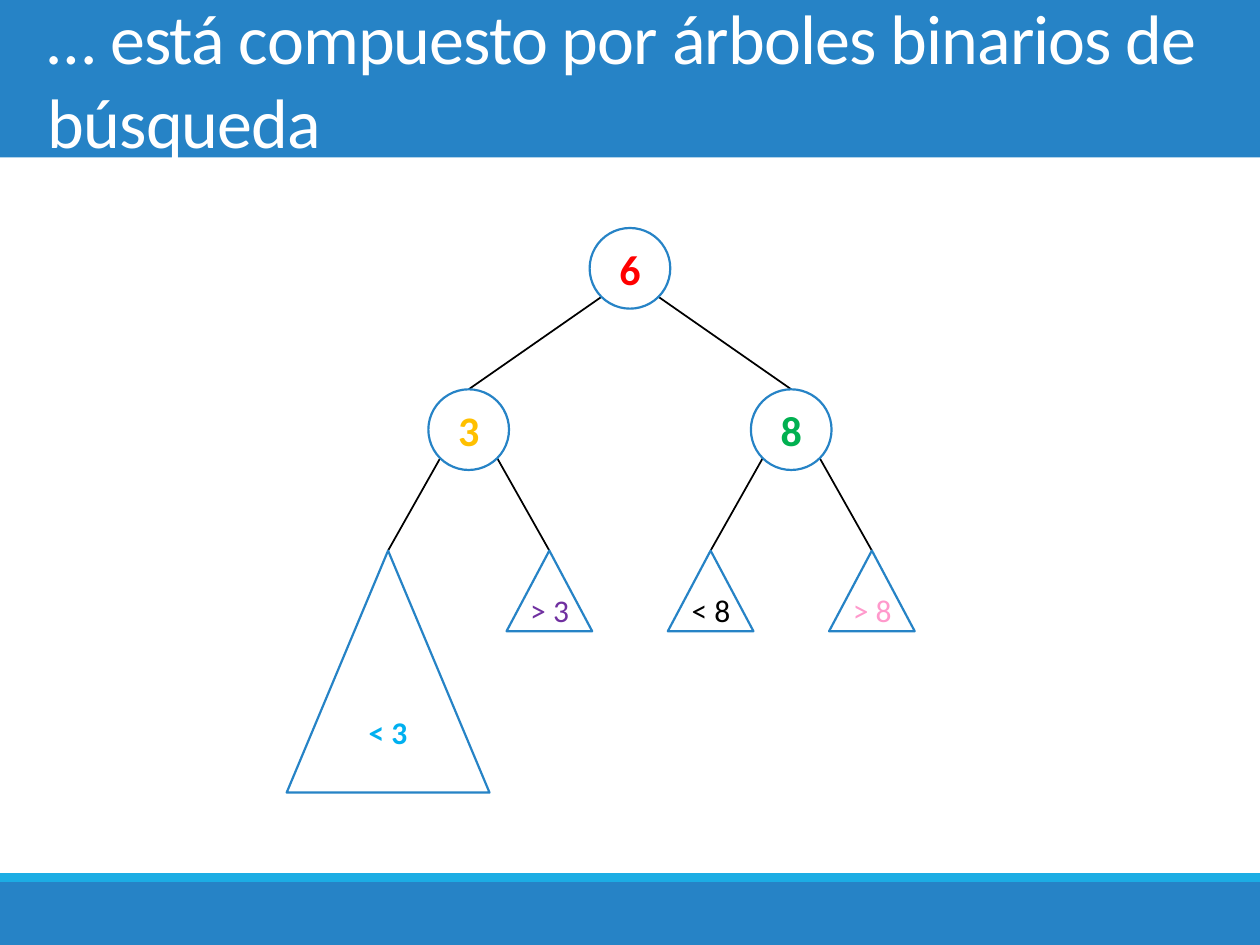
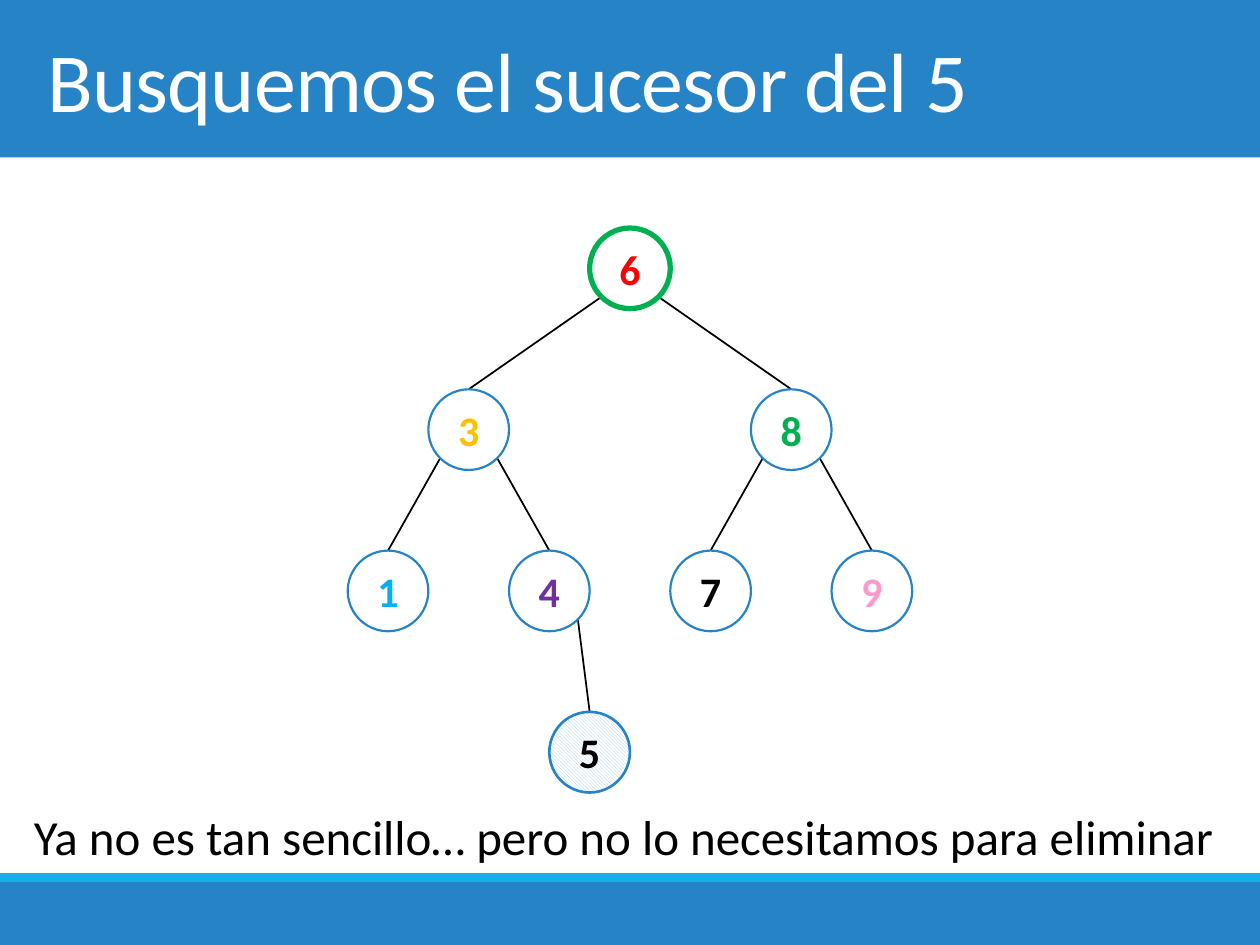
import math

import pptx
import pptx.util
import pptx.dml.color
import pptx.enum.dml
import pptx.enum.shapes
import pptx.enum.text
import pptx.oxml.ns
import lxml.etree

Inches, Pt = pptx.util.Inches, pptx.util.Pt
RGB = pptx.dml.color.RGBColor
SHAPE = pptx.enum.shapes.MSO_SHAPE
ALIGN = pptx.enum.text.PP_ALIGN
ANCHOR = pptx.enum.text.MSO_ANCHOR
AUTOFIT = pptx.enum.text.MSO_AUTO_SIZE

FONT = "Calibri"
BLUE = RGB(0x26, 0x83, 0xC6)
CYAN = RGB(0x1C, 0xAD, 0xE4)
PALE_BLUE = RGB(0xA3, 0xCE, 0xED)
WHITE = RGB(0xFF, 0xFF, 0xFF)
BLACK = RGB(0, 0, 0)
RED = RGB(0xFF, 0, 0)
GREEN = RGB(0, 0xB0, 0x50)
AMBER = RGB(0xFF, 0xC0, 0)
SKY = RGB(0, 0xB0, 0xF0)
PURPLE = RGB(0x70, 0x30, 0xA0)
PINK = RGB(0xFF, 0x99, 0xCC)

# Tree grid: in-order columns counted from the root, and levels
COLUMN, LEVEL, DIAMETER = 0.32, 1.28, 0.64
TREE_BOX = (2.75, 1.81, 4.5)        # left, top, width
TITLE_BOX = (0.28, 0, 9.45, 1.25)
REMARK_BOX = (0.17, 6.35, 9.69, 0.57)

# value: (column, level, colour)
UPPER_NODES = {
    "6": (0, 0, RED),
    "3": (-4, 1, AMBER),
    "8": (4, 1, GREEN),
}
LOWER_NODES = {
    "1": (-6, 2, SKY),
    "4": (-2, 2, PURPLE),
    "7": (2, 2, BLACK),
    "9": (6, 2, PINK),
    "5": (-1, 3, BLACK),
}
# label: (column, colour, width, height)
SUBTREES = {
    "< 3": (-6, SKY, 1.61, 1.92),
    "> 3": (-2, PURPLE, 0.68, DIAMETER),
    "< 8": (2, BLACK, 0.68, DIAMETER),
    "> 8": (6, PINK, 0.68, DIAMETER),
}
UPPER_EDGES = [("6", -4, 1), ("6", 4, 1), ("3", -6, 2),
               ("3", -2, 2), ("8", 2, 2), ("8", 6, 2)]


def inches(box):
    return [Inches(length) for length in box]


def write(frame, text, size, color, bold=False, align=ALIGN.LEFT):
    frame.text = text
    paragraph = frame.paragraphs[0]
    paragraph.alignment = align
    font = paragraph.font
    font.name, font.size, font.bold = FONT, Pt(size), bold
    font.color.rgb = color


def add_outline(slide, kind, box, line=BLUE, weight=1.25):
    outline = slide.shapes.add_shape(kind, *inches(box))
    outline.shadow.inherit = False
    outline.fill.solid()
    outline.fill.fore_color.rgb = WHITE
    outline.line.color.rgb = line
    outline.line.width = Pt(weight)
    outline.text_frame.vertical_anchor = ANCHOR.MIDDLE
    return outline


def add_label(slide, box, text, size, color):
    frame = slide.shapes.add_textbox(*inches(box)).text_frame
    frame.word_wrap = False
    frame.auto_size = AUTOFIT.SHAPE_TO_FIT_TEXT
    write(frame, text, size, color)


def grid_point(box, column, level):
    """Top centre of a tree position."""
    left, top, width = box
    return left + width / 2 + column * COLUMN, top + level * LEVEL


def add_node(slide, box, value, column, level, color, line=BLUE, weight=1.25):
    x, y = grid_point(box, column, level)
    node = add_outline(slide, SHAPE.OVAL, (x - DIAMETER / 2, y, DIAMETER, DIAMETER),
                       line, weight)
    write(node.text_frame, value, 24, color, True, ALIGN.CENTER)
    return node


def add_edge(slide, box, parent, child):
    """Line from the lower side of the parent circle to the top of the child."""
    x, y = grid_point(box, *parent)
    child_x, child_y = grid_point(box, *child)
    reach = DIAMETER / 2 * math.sqrt(0.5)
    x += math.copysign(reach, child_x - x)
    y += DIAMETER / 2 + reach
    edge = slide.shapes.add_connector(pptx.enum.shapes.MSO_CONNECTOR.STRAIGHT,
                                      *inches((x, y, child_x, child_y)))
    edge.line.color.rgb = BLACK
    edge.line.width = Pt(1)
    lxml.etree.SubElement(edge.element.spPr, pptx.oxml.ns.qn("a:effectLst"))


def add_subtree(slide, box, label, column, color, width, height):
    x, y = grid_point(box, column, 2)
    triangle = add_outline(slide, SHAPE.ISOSCELES_TRIANGLE,
                           (x - width / 2, y, width, height))
    if height > DIAMETER:
        write(triangle.text_frame, label, 18, color, True, ALIGN.CENTER)
    else:
        add_label(slide, (x - 0.25, y + 0.27, 0.51, 0.4), label, 18, color)


def add_upper_tree(slide, box, root_line=BLUE, root_weight=1.25):
    for parent, column, level in UPPER_EDGES:
        add_edge(slide, box, UPPER_NODES[parent][:2], (column, level))
    for value, place in UPPER_NODES.items():
        style = (root_line, root_weight) if value == "6" else ()
        add_node(slide, box, value, *place, *style)


def add_bands(slide, layout):
    """Colour bands, drawn once and kept in the layout behind everything."""
    bands = [((0, 0, 10, 1.25), BLUE), ((0, 7, 10, 0.5), BLUE),
             ((0, 6.93, 10, 0.07), CYAN)]
    for position, (box, color) in enumerate(bands):
        band = slide.shapes.add_shape(SHAPE.RECTANGLE, *inches(box))
        band.shadow.inherit = False
        band.fill.solid()
        band.fill.fore_color.rgb = color
        band.line.fill.background()
        layout.shapes.element.insert(2 + position, band.element)


def add_title(slide, box, text, size):
    title = slide.shapes.title
    title.left, title.top, title.width, title.height = inches(box)
    frame = title.text_frame
    write(frame, text, size, WHITE)
    frame.word_wrap = True
    frame.auto_size = AUTOFIT.NONE
    frame.vertical_anchor = ANCHOR.MIDDLE
    frame.paragraphs[0].runs[0]._r.get_or_add_rPr().set("spc", "-50")


def build_subtree_slide(slide):
    add_title(slide, TITLE_BOX, "… está compuesto por árboles binarios de búsqueda", 40)
    add_upper_tree(slide, TREE_BOX)
    for label, subtree in SUBTREES.items():
        add_subtree(slide, TREE_BOX, label, *subtree)


def build_successor_slide(slide):
    add_title(slide, TITLE_BOX, "Busquemos el sucesor del 5", 48)
    add_upper_tree(slide, TREE_BOX, GREEN, 3)
    add_edge(slide, TREE_BOX, LOWER_NODES["4"][:2], LOWER_NODES["5"][:2])
    for value, place in LOWER_NODES.items():
        node = add_node(slide, TREE_BOX, value, *place)
        if value == "5":  # the hatched node whose successor is sought
            node.line.width = Pt(1.5)
            node.fill.patterned()
            node.fill.pattern = pptx.enum.dml.MSO_PATTERN.LIGHT_DOWNWARD_DIAGONAL
            node.fill.fore_color.rgb = PALE_BLUE
            node.fill.back_color.rgb = WHITE
    add_label(slide, REMARK_BOX,
              "Ya no es tan sencillo… pero no lo necesitamos para eliminar", 28, BLACK)


deck = pptx.Presentation()
deck.slide_width, deck.slide_height = Inches(10), Inches(7.5)
title_only = deck.slide_layouts[5]
subtree_slide = deck.slides.add_slide(title_only)
successor_slide = deck.slides.add_slide(title_only)
add_bands(subtree_slide, title_only)
build_subtree_slide(subtree_slide)
build_successor_slide(successor_slide)
deck.save("out.pptx")
